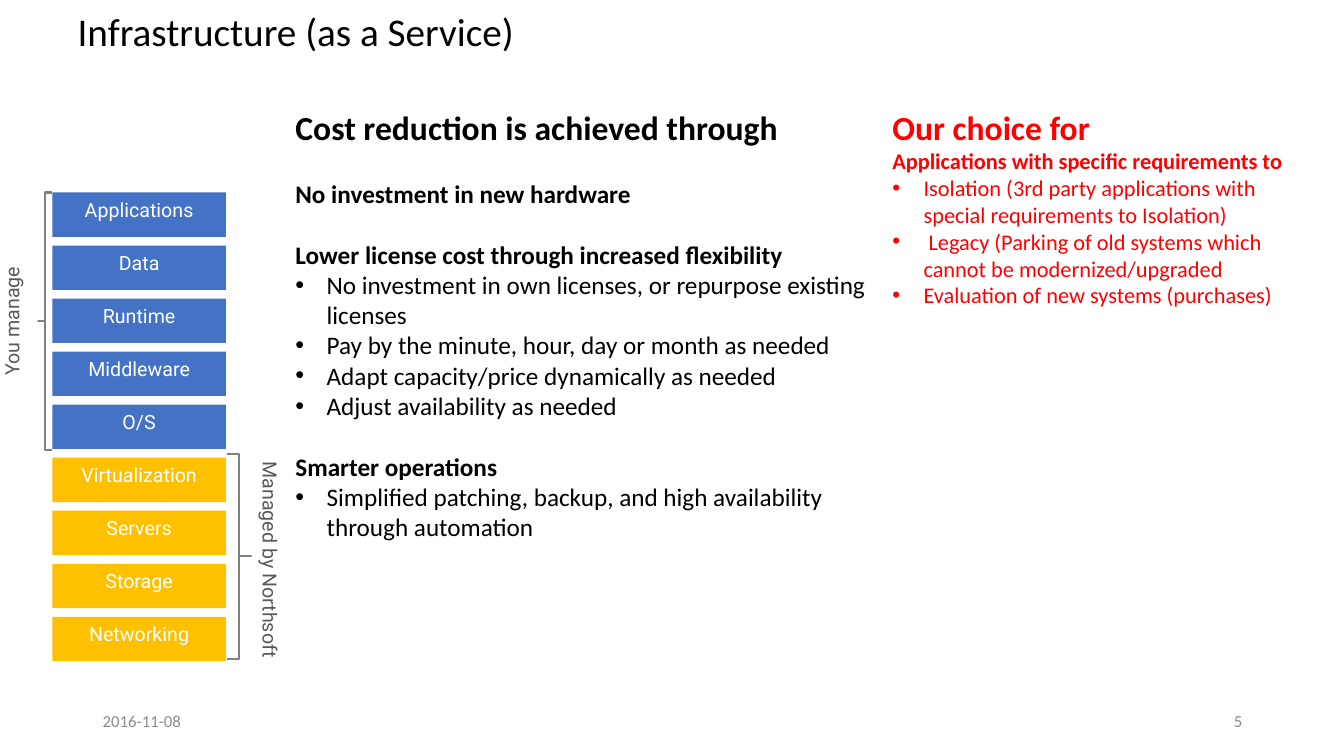
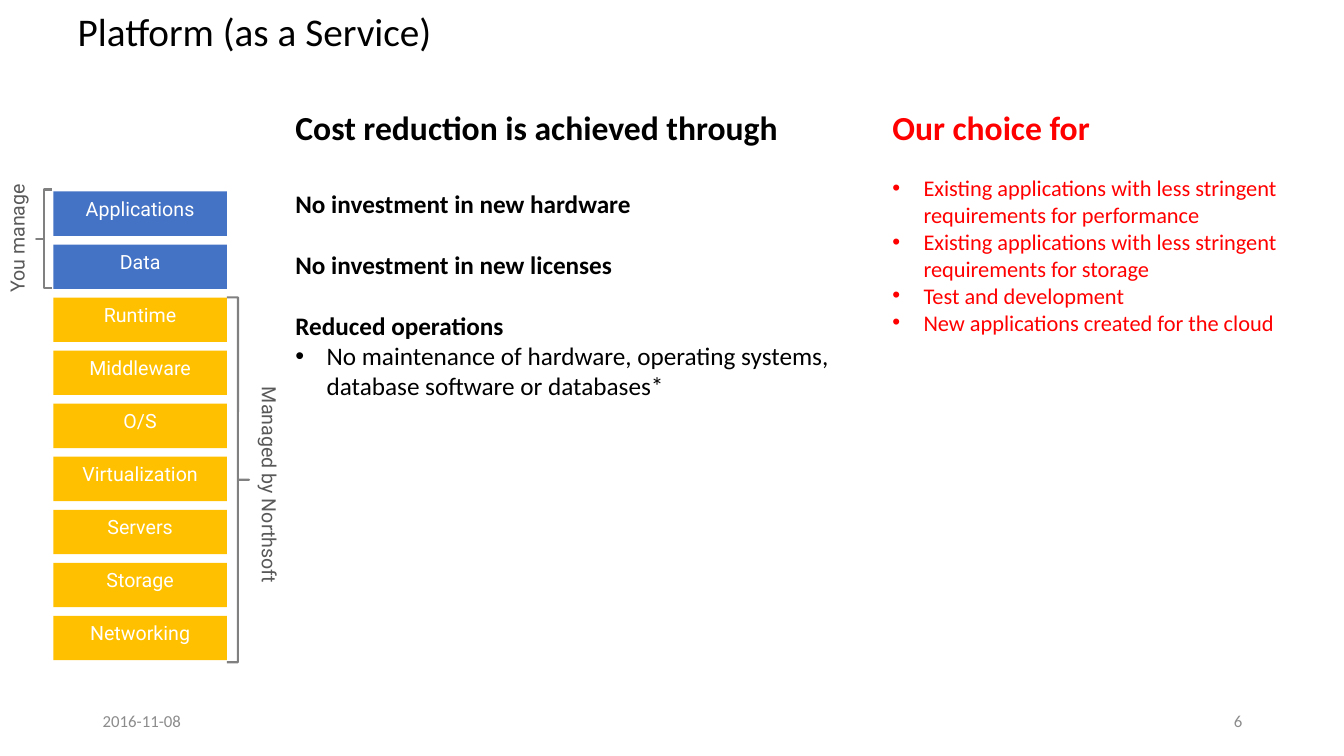
from lxml.etree import SubElement
from pptx import Presentation
from pptx.dml.color import RGBColor
from pptx.enum.shapes import MSO_SHAPE as SHAPE
from pptx.enum.text import MSO_ANCHOR as ANCHOR, MSO_AUTO_SIZE as AUTO, PP_ALIGN as ALIGN
from pptx.oxml.ns import qn
from pptx.util import Inches, Pt

BLACK = RGBColor(0x00, 0x00, 0x00)
WHITE = RGBColor(0xFF, 0xFF, 0xFF)
RED = RGBColor(0xFF, 0x00, 0x00)
BLUE = RGBColor(0x44, 0x72, 0xC4)
AMBER = RGBColor(0xFF, 0xC0, 0x00)
BRACE_GRAY = RGBColor(0x80, 0x80, 0x80)
LABEL_GRAY = RGBColor(0x59, 0x59, 0x59)
FOOTER_GRAY = RGBColor(0x8C, 0x8C, 0x8C)

LAYERS = ["Applications", "Data", "Runtime", "Middleware", "O/S",
          "Virtualization", "Servers", "Storage", "Networking"]
DATE = "2016-11-08"
YOURS, THEIRS = "You manage", "Managed by Northsoft"
COST, CHOICE = "Cost reduction is achieved through", "Our choice for"

# kind, gap before in points, text
SLIDES = [
    {
        "title": "Infrastructure (as a Service)",
        "number": "5",
        "managed": 5,
        "stack": (0.52, 1.91),
        "braces": [(0.38, 1.91, 0.14, 2.55), (2.25, 4.5, 0.24, 2.04)],
        "labels": [(-0.05, 2.6, 0.44, 1.17), (2.41, 4.48, 0.44, 2.07)],
        "cost": [
            ("head", 0, COST),
            ("bold", 22, "No investment in new hardware"),
            ("bold", 22, "Lower license cost through increased flexibility"),
            ("item", 0, "No investment in own licenses, or repurpose existing licenses"),
            ("item", 0, "Pay by the minute, hour, day or month as needed"),
            ("item", 0, "Adapt capacity/price dynamically as needed"),
            ("item", 0, "Adjust availability as needed"),
            ("bold", 22, "Smarter operations"),
            ("item", 0, "Simplified patching, backup, and high availability through automation"),
        ],
        "choice": [
            ("head", 0, CHOICE),
            ("bold", 0, "Applications with specific requirements to"),
            ("item", 0, "Isolation (3rd party applications with special requirements to Isolation)"),
            ("item", 0, " Legacy (Parking of old systems which cannot be modernized/upgraded"),
            ("item", 0, "Evaluation of new systems (purchases)"),
        ],
    },
    {
        "title": "Platform (as a Service)",
        "number": "6",
        "managed": 2,
        "stack": (0.53, 1.9),
        "braces": [(0.36, 1.88, 0.16, 0.98), (2.25, 2.95, 0.22, 3.62)],
        "labels": [(0, 1.78, 0.44, 1.17), (2.4, 3.74, 0.44, 2.07)],
        "cost": [
            ("head", 0, COST),
            ("bold", 29.3, "No investment in new hardware"),
            ("bold", 22, "No investment in new licenses"),
            ("bold", 22, "Reduced operations"),
            ("item", 0, "No maintenance of hardware, operating systems, "
                        "database software or databases*"),
        ],
        "choice": [
            ("head", 0, CHOICE),
            ("item", 19.5, "Existing applications with less stringent requirements for performance"),
            ("item", 0, "Existing applications with less stringent requirements for storage"),
            ("item", 0, "Test and development"),
            ("item", 0, "New applications created for the cloud"),
        ],
    },
]

TITLE = {"name": "Calibri", "size": Pt(28), "bold": False}
FOOTER = {"name": "Calibri", "size": Pt(12)}
ROBOTO = {"name": "Roboto", "size": Pt(14)}
BOX_W, BOX_H = 1.72, 0.44
PITCH = (6.12 - 1.91) / (len(LAYERS) - 1)
HANG = Inches(0.31)


def inches(at):
    return [Inches(v) for v in at]


def place(sp, at):
    for name, value in zip(("left", "top", "width", "height"), inches(at)):
        setattr(sp, name, value)


def write(p, text, formats, color, align=ALIGN.LEFT):
    p.alignment = align
    r = p.add_run()
    r.text = text
    for name, value in formats.items():
        setattr(r.font, name, value)
    r.font.color.rgb = color


def add_title(s, text):
    sp = s.shapes.title
    place(sp, (0.67, 0.08, 12, 0.42))
    tf = sp.text_frame
    tf.auto_size, tf.vertical_anchor = AUTO.NONE, ANCHOR.TOP
    p = tf.paragraphs[0]
    p.line_spacing = 0.9
    write(p, text, TITLE, BLACK)


def add_footer(s, left, text, align):
    tf = s.shapes.add_textbox(*inches((left, 6.95, 3, 0.4))).text_frame
    tf.word_wrap, tf.vertical_anchor = True, ANCHOR.MIDDLE
    write(tf.paragraphs[0], text, FOOTER, FOOTER_GRAY, align)


def fill_list(sp, at, lines, size, color):
    place(sp, at)
    tf = sp.text_frame
    tf.auto_size, tf.vertical_anchor = AUTO.NONE, ANCHOR.TOP
    for i, (kind, gap, text) in enumerate(lines):
        p = tf.add_paragraph() if i else tf.paragraphs[0]
        p.space_before = Pt(gap)
        pPr = p._p.get_or_add_pPr()
        indent = HANG if kind == "item" else 0
        pPr.set("marL", str(indent))
        pPr.set("indent", str(-indent))
        if kind == "item":
            SubElement(pPr, qn("a:buFont")).set("typeface", "Arial")
            SubElement(pPr, qn("a:buChar")).set("char", "•")
        else:
            SubElement(pPr, qn("a:buNone"))
        formats = {"name": "Calibri", "bold": kind != "item",
                   "size": Pt(24 if kind == "head" else size)}
        write(p, text, formats, color)


def add_stack(s, left, top, managed):
    for i, layer in enumerate(LAYERS):
        box = s.shapes.add_shape(
            SHAPE.RECTANGLE, *inches((left, top + i * PITCH, BOX_W, BOX_H)))
        box.shadow.inherit = False
        box.fill.solid()
        box.fill.fore_color.rgb = BLUE if i < managed else AMBER
        box.line.fill.background()
        tf = box.text_frame
        tf.vertical_anchor = ANCHOR.TOP
        tf.margin_left = tf.margin_right = 0
        write(tf.paragraphs[0], layer, ROBOTO, WHITE, ALIGN.CENTER)


def add_brace(s, shape, at):
    brace = s.shapes.add_shape(shape, *inches(at))
    brace.shadow.inherit = False
    brace.adjustments[0] = 0
    brace.fill.background()
    brace.line.color.rgb = BRACE_GRAY
    brace.line.width = Pt(1.5)


def add_label(s, text, at, direction):
    tf = s.shapes.add_textbox(*inches(at)).text_frame
    tf.word_wrap = False
    tf._txBody.bodyPr.set("vert", direction)
    write(tf.paragraphs[0], text, ROBOTO, LABEL_GRAY, ALIGN.CENTER)


prs = Presentation()
prs.slide_width, prs.slide_height = Inches(13.33), Inches(7.5)
for data in SLIDES:
    s = prs.slides.add_slide(prs.slide_layouts.get_by_name("Two Content"))
    add_title(s, data["title"])
    cost, choice = s.placeholders[1], s.placeholders[2]
    fill_list(cost, (2.83, 1.01, 6.06, 4.44), data["cost"], 18, BLACK)
    fill_list(choice, (8.75, 1.01, 4.3, 2.66), data["choice"], 16, RED)
    add_stack(s, *data["stack"], data["managed"])
    for shape, at in zip((SHAPE.LEFT_BRACE, SHAPE.RIGHT_BRACE), data["braces"]):
        add_brace(s, shape, at)
    for text, at, direction in zip((YOURS, THEIRS), data["labels"], ("vert270", "eaVert")):
        add_label(s, text, at, direction)
    add_footer(s, 0.92, DATE, ALIGN.LEFT)
    add_footer(s, 9.42, data["number"], ALIGN.RIGHT)
prs.save("out.pptx")
